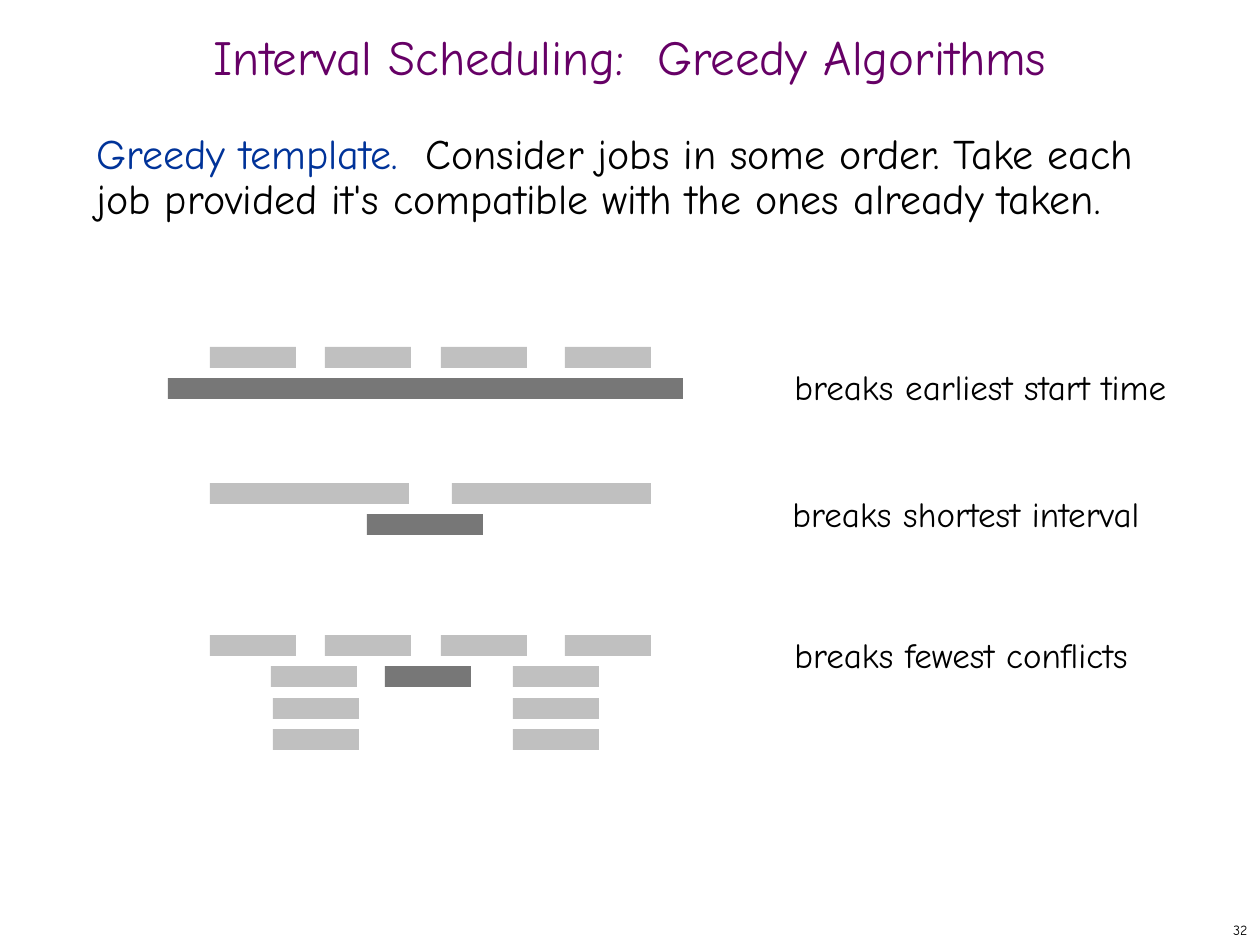
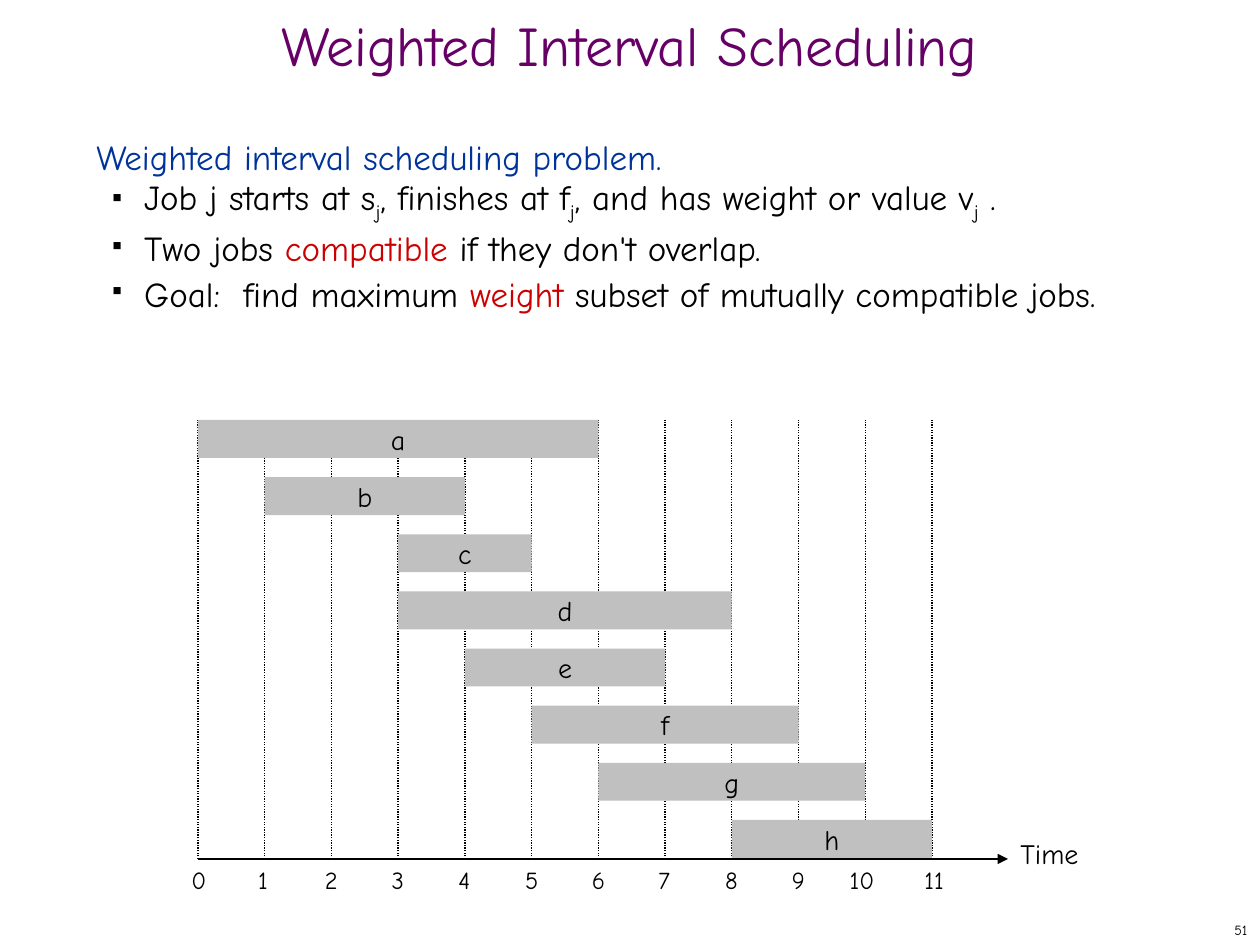
from lxml.etree import SubElement
from pptx import Presentation
from pptx.dml.color import RGBColor
from pptx.enum.dml import MSO_LINE
from pptx.enum.shapes import MSO_CONNECTOR as Connector, MSO_SHAPE as Preset
from pptx.enum.text import MSO_ANCHOR as Anchor, PP_ALIGN as Align
from pptx.oxml.ns import qn
from pptx.util import Emu, Inches, Pt

PX = Inches(1) / 126
FONT = "Comic Neue"
COLOURS = {
    "title": "660066",
    "term": "003399",
    "key": "CC0000",
    "text": "000000",
    "job": "C0C0C0",
    "dark job": "777777",
}
PAGE_W, PAGE_H = 1260, 945
BODY = (84, 126, 1081, 746)
NUMBER = (998, 914, 262, 31)

# Spans are plain text or (text, style); a style is a colour name or "sub".
GREEDY_TEXT = [[
    ("Greedy template.  ", "term"),
    "Consider jobs in some order. Take each job provided it's compatible with the ones already taken.",
]]
WEIGHTED_TEXT = [
    [("Weighted interval scheduling problem.", "term")],
    ["Job j starts at s", ("j", "sub"), ", finishes at f", ("j", "sub"),
     ", and has weight or value v", ("j", "sub"), " ."],
    ["Two jobs ", ("compatible ", "key"), "if they don't overlap."],
    ["Goal:  find maximum ", ("weight", "key"), " subset of mutually compatible jobs."],
]

JOB_W, JOB_H = 86, 21
TWO_ROWS = 63
FOUR_JOBS = ("job", JOB_W, [210, 325, 441, 565])
# label, label left and top, top of the first row, rows of (colour, width, lefts)
COUNTEREXAMPLES = [
    ("breaks earliest start time", 782, 359, 347, [
        [FOUR_JOBS],
        [("dark job", 515, [168])],
    ]),
    ("breaks shortest interval", 780, 486, 483, [
        [("job", 199, [210, 452])],
        [("dark job", 116, [367])],
    ]),
    ("breaks fewest conflicts", 782, 627, 635, [
        [FOUR_JOBS],
        [("job", JOB_W, [271, 513]), ("dark job", JOB_W, [385])],
        [("job", JOB_W, [273, 513])],
        [("job", JOB_W, [273, 513])],
    ]),
]

# name, start, finish
WEIGHTED_JOBS = [
    ("a", 0, 6), ("b", 1, 4), ("c", 3, 5), ("d", 3, 8),
    ("e", 4, 7), ("f", 5, 9), ("g", 6, 10), ("h", 8, 11),
]
HOURS = 11
AXIS_LEFT, AXIS_RIGHT, AXIS_END, AXIS_Y = 198, 932, 1008, 859
CHART_TOP, LAST_ROW_TOP, BAR_H = 420, 820, 38
TICK_SHIFT = {10: -28, 11: -20}


def px(*lengths):
    return [Emu(round(length * PX)) for length in lengths]


def rgb(name):
    return RGBColor.from_string(COLOURS[name])


def add_bullet(para):
    props = para._p.get_or_add_pPr()
    props.set("marL", str(Inches(0.38)))
    props.set("indent", str(Inches(-0.25)))
    colour = SubElement(props, qn("a:buClr"))
    SubElement(colour, qn("a:srgbClr"), val=COLOURS["text"])
    SubElement(props, qn("a:buSzPct"), val="35000")
    SubElement(props, qn("a:buChar"), char="■")


def write(shape, paragraphs, size, colour="text", align=Align.LEFT, anchor=Anchor.TOP,
          spacing=None, bullets_from=None, wrap=True):
    frame = shape.text_frame
    frame.word_wrap = wrap
    frame.vertical_anchor = anchor
    for index, spans in enumerate(paragraphs):
        para = frame.add_paragraph() if index else frame.paragraphs[0]
        if bullets_from is not None and index >= bullets_from:
            add_bullet(para)
        para.alignment = align
        if spacing:
            para.line_spacing = spacing
        for item in spans:
            text, style = (item, colour) if isinstance(item, str) else item
            span = para.add_run()
            span.text = text
            span.font.name = FONT
            span.font.size = Pt(size)
            span.font.color.rgb = rgb(colour if style == "sub" else style)
            if style == "sub":
                span._r.get_or_add_rPr().set("baseline", "-25000")


def add_text(page, area, paragraphs, size, **options):
    if isinstance(paragraphs, str):
        paragraphs = [[paragraphs]]
    write(page.shapes.add_textbox(*px(*area)), paragraphs, size, **options)


def add_bar(page, area, colour):
    bar = page.shapes.add_shape(Preset.RECTANGLE, *px(*area))
    bar.shadow.inherit = False
    bar.fill.solid()
    bar.fill.fore_color.rgb = rgb(colour)
    bar.line.fill.background()
    return bar


def add_line(page, start, end, width, dotted=False, arrow=False):
    line = page.shapes.add_connector(Connector.STRAIGHT, *px(*start, *end))
    line.line.width = Pt(width)
    line.line.color.rgb = rgb("text")
    if dotted:
        line.line.dash_style = MSO_LINE.ROUND_DOT
    if arrow:
        SubElement(line.line._get_or_add_ln(), qn("a:tailEnd"), type="triangle")
    SubElement(line._element.spPr, qn("a:effectLst"))


def add_page(deck, number, title, title_size, title_h, body, body_size, **options):
    page = deck.slides.add_slide(deck.slide_layouts[6])
    add_text(page, NUMBER, number, 8, align=Align.RIGHT, anchor=Anchor.MIDDLE)
    add_text(page, (0, 21, PAGE_W, title_h), title, title_size, colour="title",
             align=Align.CENTER, anchor=Anchor.MIDDLE, spacing=0.7)
    add_text(page, BODY, body, body_size, spacing=Pt(26), **options)
    return page


def draw_counterexamples(page):
    for label, label_left, label_top, top, rows in COUNTEREXAMPLES:
        for index, row in enumerate(rows):
            row_top = top + index * TWO_ROWS // 2
            for colour, width, lefts in row:
                for left in lefts:
                    add_bar(page, (left, row_top, width, JOB_H), colour)
        add_text(page, (label_left, label_top, 400, 54), label, 20)


def draw_timeline(page):
    hour_w = (AXIS_RIGHT - AXIS_LEFT) / HOURS
    row_step = (LAST_ROW_TOP - CHART_TOP) / (len(WEIGHTED_JOBS) - 1)

    add_line(page, (AXIS_LEFT, AXIS_Y), (AXIS_END, AXIS_Y), 1.25, arrow=True)
    add_text(page, (AXIS_END, 830, 105, 47), "Time", 16)
    for hour in range(HOURS + 1):
        x = AXIS_LEFT + hour * hour_w
        add_line(page, (x, AXIS_Y), (x, CHART_TOP), 0.75, dotted=True)
        add_text(page, (x + TICK_SHIFT.get(hour, -19), AXIS_Y, 58, 42), str(hour), 14)
    for row, (name, start, finish) in enumerate(WEIGHTED_JOBS):
        area = (AXIS_LEFT + start * hour_w, CHART_TOP + row * row_step,
                (finish - start) * hour_w, BAR_H)
        write(add_bar(page, area, "job"), [[name]], 16, align=Align.CENTER,
              anchor=Anchor.MIDDLE, wrap=False)


def main():
    deck = Presentation()
    deck.slide_width, deck.slide_height = px(PAGE_W, PAGE_H)
    draw_counterexamples(add_page(
        deck, "32", "Interval Scheduling:  Greedy Algorithms", 28, 84, GREEDY_TEXT, 24))
    draw_timeline(add_page(
        deck, "51", "Weighted Interval Scheduling", 32, 63, WEIGHTED_TEXT, 20, bullets_from=1))
    deck.save("out.pptx")


if __name__ == "__main__":
    main()
